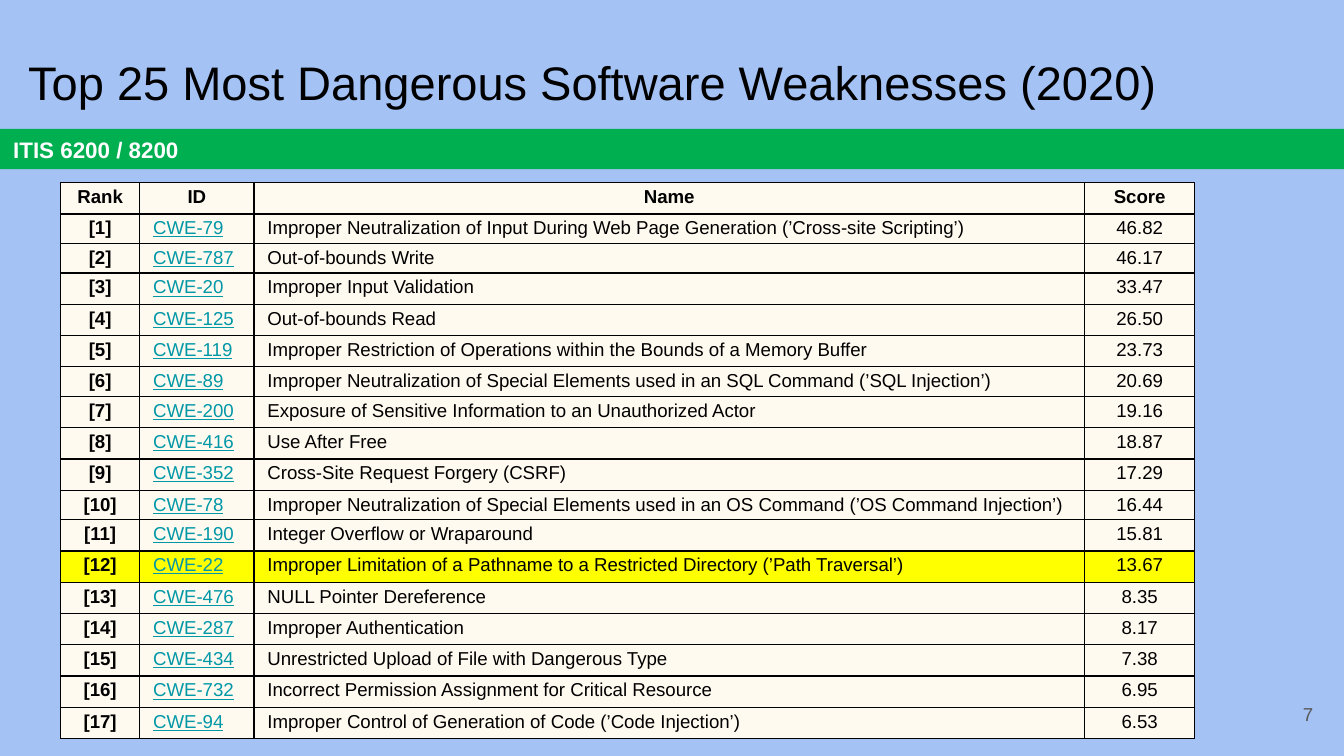
from dataclasses import dataclass
from typing import NamedTuple

from lxml import etree
from pptx import Presentation
from pptx.dml.color import RGBColor
from pptx.enum.shapes import MSO_SHAPE
from pptx.enum.text import MSO_ANCHOR, MSO_AUTO_SIZE, PP_ALIGN
from pptx.oxml.ns import qn
from pptx.util import Inches, Pt

RECT = MSO_SHAPE.RECTANGLE
TOP, MIDDLE = MSO_ANCHOR.TOP, MSO_ANCHOR.MIDDLE
LEFT, CENTER, RIGHT = PP_ALIGN.LEFT, PP_ALIGN.CENTER, PP_ALIGN.RIGHT
NO_FIT = MSO_AUTO_SIZE.NONE


@dataclass(frozen=True)
class Theme:
    font: str = "Arial"
    background: str = "A4C2F4"
    bar: str = "00B050"
    bar_text: str = "FFFFFF"
    text: str = "000000"
    link: str = "0097A7"
    number: str = "595959"
    cell: str = "FFFAF0"
    highlight: str = "FFFF00"
    title_size: float = 25.2
    bar_size: float = 12
    body_size: float = 10
    border: float = 0.75


class Box(NamedTuple):
    left: float
    top: float
    width: float
    height: float

    def emu(self) -> list:
        return [Inches(v) for v in self]


class Column(NamedTuple):
    header: str
    width: float
    align: PP_ALIGN
    format: dict


class Weakness(NamedTuple):
    cwe: int
    name: str
    score: str


THEME = Theme()
SLIDE_W = 10
SLIDE_H = SLIDE_W * 9 / 16
TITLE_BOX = Box(0.11, 0.3, 9.32, 0.63)
BAR_BOX = Box(0, 0.96, SLIDE_W, 0.3)
NUMBER_BOX = Box(9.27, 5.1, 0.6, 0.43)

COLUMNS = [
    Column("Rank", 0.59, CENTER, {"bold": True}),
    Column("ID", 0.85, LEFT, {"color": THEME.link, "underline": True}),
    Column("Name", 6.18, LEFT, {}),
    Column("Score", 0.82, CENTER, {}),
]
TABLE_BOX = Box(0.45, 1.36, sum(c.width for c in COLUMNS), 4.14)
SHORT_ROWS, SHORT_H = {1, 2, 6, 10}, 0.22
HIGHLIGHT_RANK = 12

WEAKNESSES = [
    Weakness(79, "Improper Neutralization of Input During Web Page Generation (’Cross-site Scripting’)", "46.82"),
    Weakness(787, "Out-of-bounds Write", "46.17"),
    Weakness(20, "Improper Input Validation", "33.47"),
    Weakness(125, "Out-of-bounds Read", "26.50"),
    Weakness(119, "Improper Restriction of Operations within the Bounds of a Memory Buffer", "23.73"),
    Weakness(89, "Improper Neutralization of Special Elements used in an SQL Command (’SQL Injection’)", "20.69"),
    Weakness(200, "Exposure of Sensitive Information to an Unauthorized Actor", "19.16"),
    Weakness(416, "Use After Free", "18.87"),
    Weakness(352, "Cross-Site Request Forgery (CSRF)", "17.29"),
    Weakness(78, "Improper Neutralization of Special Elements used in an OS Command (’OS Command Injection’)", "16.44"),
    Weakness(190, "Integer Overflow or Wraparound", "15.81"),
    Weakness(22, "Improper Limitation of a Pathname to a Restricted Directory (’Path Traversal’)", "13.67"),
    Weakness(476, "NULL Pointer Dereference", "8.35"),
    Weakness(287, "Improper Authentication", "8.17"),
    Weakness(434, "Unrestricted Upload of File with Dangerous Type", "7.38"),
    Weakness(732, "Incorrect Permission Assignment for Critical Resource", "6.95"),
    Weakness(94, "Improper Control of Generation of Code (’Code Injection’)", "6.53"),
]


def write(tf, text: str, align=LEFT, size: float = THEME.body_size,
          color: str = THEME.text, bold: bool = False, underline: bool = False) -> None:
    p = tf.paragraphs[0]
    p.alignment = align
    r = p.add_run()
    r.text = text
    formats = {"name": THEME.font, "size": Pt(size), "bold": bold, "underline": underline}
    for key, value in formats.items():
        setattr(r.font, key, value)
    r.font.color.rgb = RGBColor.from_string(color)


def set_frame(tf, anchor) -> None:
    formats = {"word_wrap": True, "auto_size": NO_FIT, "vertical_anchor": anchor}
    formats |= {f"margin_{side}": Inches(0.1) for side in ("left", "top", "right", "bottom")}
    for key, value in formats.items():
        setattr(tf, key, value)


def set_fill(fill, color: str) -> None:
    fill.solid()
    fill.fore_color.rgb = RGBColor.from_string(color)


def set_borders(cell) -> None:
    tc_pr = cell._tc.get_or_add_tcPr()
    for side in ("lnL", "lnR", "lnT", "lnB"):
        ln = etree.SubElement(tc_pr, qn(f"a:{side}"), w=str(Pt(THEME.border)))
        solid = etree.SubElement(ln, qn("a:solidFill"))
        etree.SubElement(solid, qn("a:srgbClr"), val=THEME.text)


def draw_title(s, text: str) -> None:
    sp = s.shapes.title
    sp.left, sp.top, sp.width, sp.height = TITLE_BOX.emu()
    set_frame(sp.text_frame, TOP)
    write(sp.text_frame, text, size=THEME.title_size)


def draw_bar(s, text: str) -> None:
    sp = s.shapes.add_shape(RECT, *BAR_BOX.emu())
    sp.shadow.inherit = False
    set_fill(sp.fill, THEME.bar)
    sp.line.fill.background()
    set_frame(sp.text_frame, MIDDLE)
    write(sp.text_frame, text, size=THEME.bar_size, color=THEME.bar_text, bold=True)


def draw_number(s, text: str) -> None:
    tf = s.shapes.add_textbox(*NUMBER_BOX.emu()).text_frame
    set_frame(tf, MIDDLE)
    write(tf, text, RIGHT, color=THEME.number)


def draw_cell(cell, text: str, fill: str, align, **formats) -> None:
    cell.margin_left = cell.margin_right = Inches(0.1)
    cell.margin_top = cell.margin_bottom = Inches(0.03)
    set_borders(cell)
    set_fill(cell.fill, fill)
    write(cell.text_frame, text, align, **formats)


def draw_table(s) -> None:
    n_rows = len(WEAKNESSES) + 1
    table = s.shapes.add_table(n_rows, len(COLUMNS), *TABLE_BOX.emu()).table
    table.first_row = table.horz_banding = False

    # Rows that are not short share the remaining height equally
    n_short = len(SHORT_ROWS)
    tall_h = (TABLE_BOX.height - n_short * SHORT_H) / (n_rows - n_short)
    for i, row in enumerate(table.rows):
        row.height = Inches(SHORT_H if i in SHORT_ROWS else tall_h)

    for j, col in enumerate(COLUMNS):
        table.columns[j].width = Inches(col.width)
        draw_cell(table.cell(0, j), col.header, THEME.cell, CENTER, bold=True)

    for rank, w in enumerate(WEAKNESSES, start=1):
        fill = THEME.highlight if rank == HIGHLIGHT_RANK else THEME.cell
        values = (f"[{rank}]", f"CWE-{w.cwe}", w.name, w.score)
        for j, (col, value) in enumerate(zip(COLUMNS, values)):
            draw_cell(table.cell(rank, j), value, fill, col.align, **col.format)


def main() -> None:
    prs = Presentation()
    prs.slide_width, prs.slide_height = Inches(SLIDE_W), Inches(SLIDE_H)
    s = prs.slides.add_slide(prs.slide_layouts[5])  # title only
    set_fill(s.background.fill, THEME.background)
    draw_bar(s, "ITIS 6200 / 8200")
    draw_title(s, "Top 25 Most Dangerous Software Weaknesses (2020)")
    draw_number(s, "7")
    draw_table(s)
    prs.save("out.pptx")


if __name__ == "__main__":
    main()
